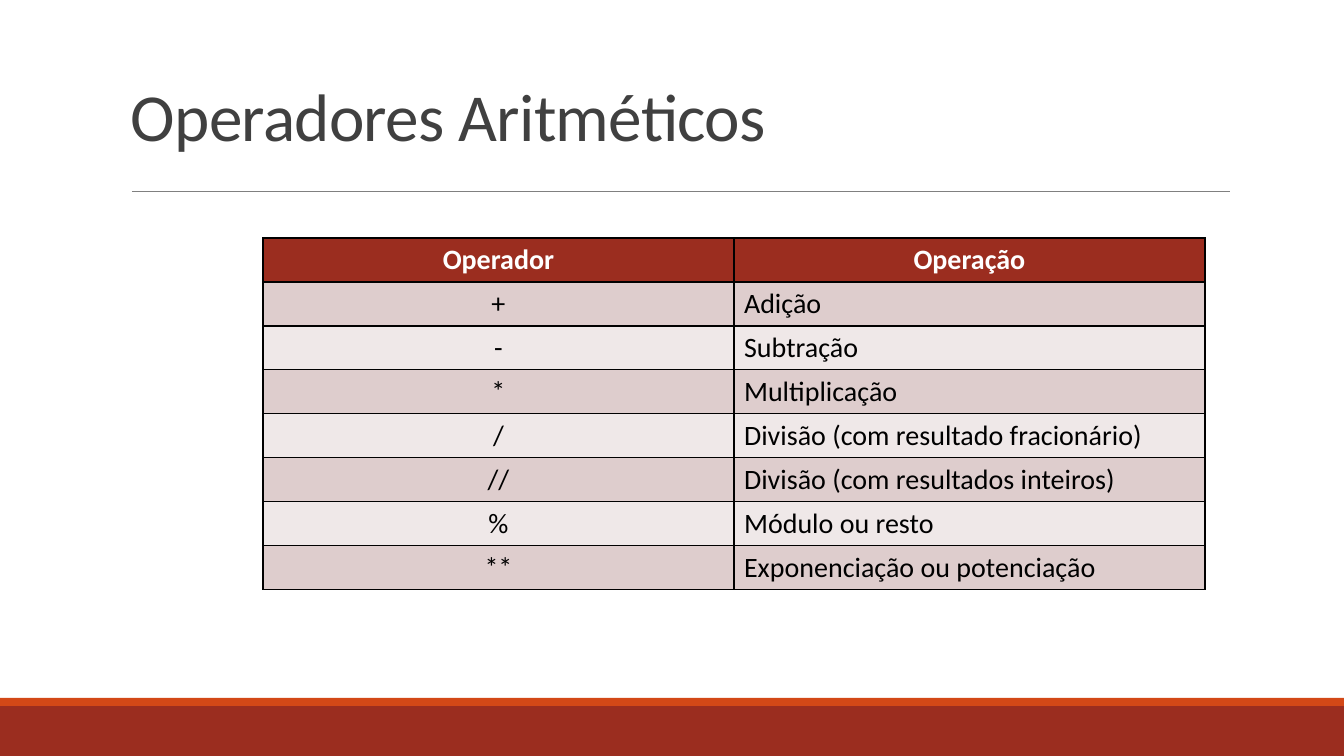
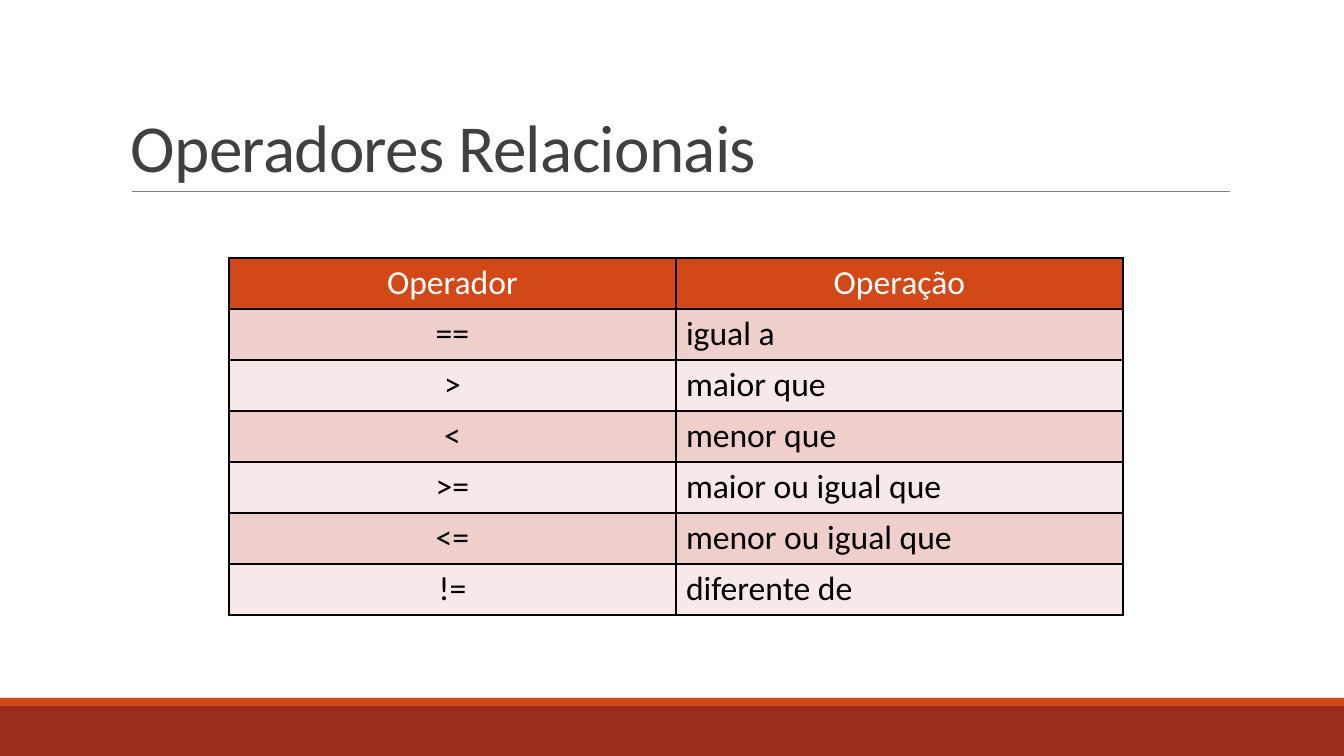
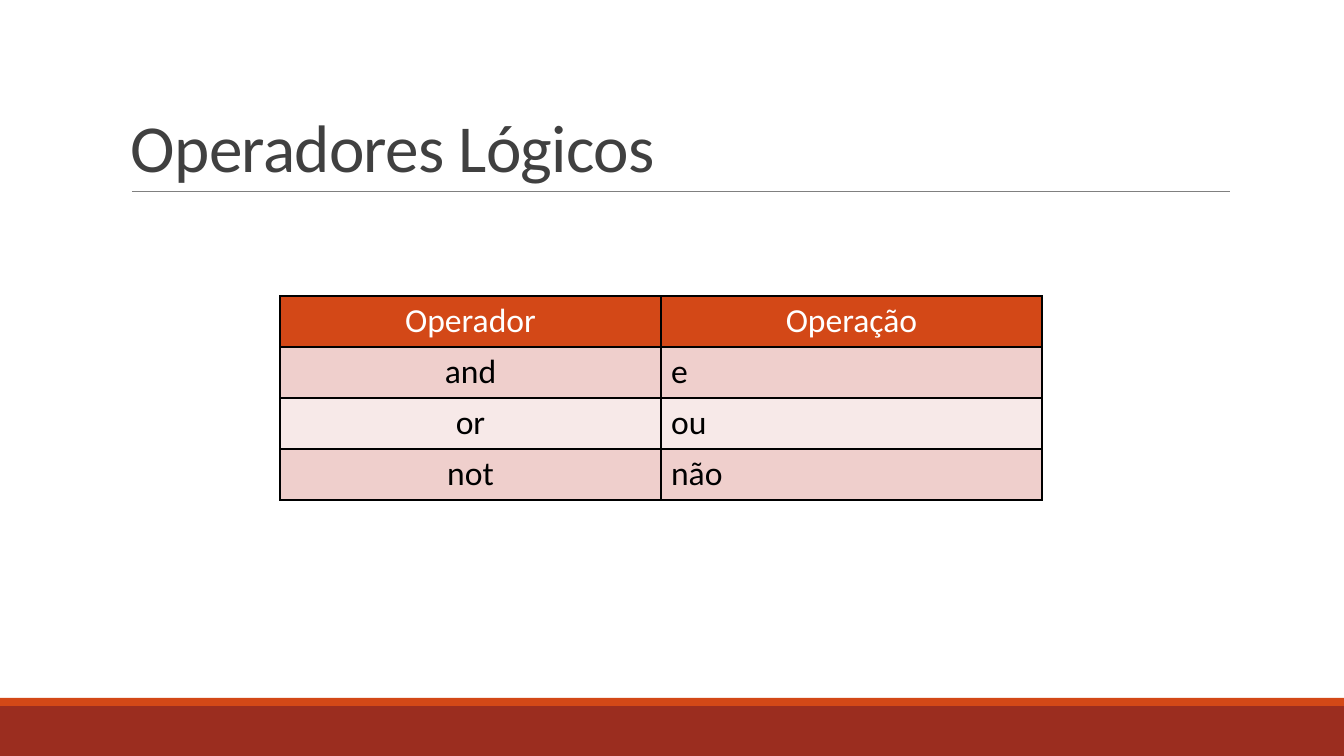
from dataclasses import dataclass

from lxml.etree import SubElement
from pptx import Presentation
from pptx.dml.color import RGBColor
from pptx.enum.shapes import MSO_CONNECTOR, MSO_SHAPE
from pptx.enum.text import MSO_ANCHOR, PP_ALIGN
from pptx.oxml.ns import qn
from pptx.slide import Slide
from pptx.table import _Cell
from pptx.text.text import _Paragraph
from pptx.util import Emu, Pt

SCALE = 914400 / 100.8
WIDE, HIGH = 1344, 756


@dataclass(frozen=True)
class Theme:
    font: str = "Calibri"
    brick: str = "9B2D1F"
    flame: str = "D34817"
    rule: str = "808080"
    title: str = "404040"
    light: str = "FFFFFF"
    dark: str = "000000"
    head_size: int = 48
    track: int = -50
    lead: float = 0.85
    rule_width: float = 0.5
    edge_width: float = 1


@dataclass(frozen=True)
class Look:
    """Colours and type of one kind of table."""
    head: str
    odd: str
    even: str
    size: int
    bold: bool
    row: int


@dataclass(frozen=True)
class Band:
    top: int
    height: int
    fill: str


@dataclass(frozen=True)
class Page:
    title: str
    top: int
    left: int
    upper: int
    column: int
    look: Look
    rows: tuple[tuple[str, str], ...]


THEME = Theme()
BANDS = (Band(706, 50, THEME.brick), Band(698, 8, THEME.flame))
MUTED = Look(THEME.brick, "DECDCD", "EFE8E8", 20, True, 44)
VIVID = Look(THEME.flame, "EFCFCC", "F7E9E8", 24, False, 51)
HEADER = ("Operador", "Operação")

PAGES = (
    Page("Operadores Aritméticos", 0, 263, 238, 471, MUTED, (
        ("+", "Adição"),
        ("-", "Subtração"),
        ("*", "Multiplicação"),
        ("/", "Divisão (com resultado fracionário)"),
        ("//", "Divisão (com resultados inteiros)"),
        ("%", "Módulo ou resto"),
        ("**", "Exponenciação ou potenciação"),
    )),
    Page("Operadores Relacionais", 31, 229, 258, 447, VIVID, (
        ("==", "igual a"),
        (">", "maior que"),
        ("<", "menor que"),
        (">=", "maior ou igual que"),
        ("<=", "menor ou igual que"),
        ("!=", "diferente de"),
    )),
    Page("Operadores Lógicos", 31, 280, 296, 381, VIVID, (
        ("and", "e"),
        ("or", "ou"),
        ("not", "não"),
    )),
)


def px(count: int) -> Emu:
    return Emu(round(count * SCALE))


def rgb(code: str) -> RGBColor:
    return RGBColor.from_string(code)


def write(para: _Paragraph, text: str, size: int, color: str,
          bold: bool = False, track: int = 0) -> None:
    run = para.add_run()
    run.text = text
    run.font.name = THEME.font
    run.font.size = Pt(size)
    run.font.bold = bold
    run.font.color.rgb = rgb(color)
    if track:
        run._r.get_or_add_rPr().set("spc", str(track))


# Shared frame: bands and rule
def draw_frame(slide: Slide) -> None:
    for band in BANDS:
        bar = slide.shapes.add_shape(MSO_SHAPE.RECTANGLE, 0, px(band.top),
                                     px(WIDE), px(band.height))
        bar.shadow.inherit = False
        bar.fill.solid()
        bar.fill.fore_color.rgb = rgb(band.fill)
        bar.line.fill.background()
    rule = slide.shapes.add_connector(MSO_CONNECTOR.STRAIGHT, px(132), px(191),
                                      px(1230), px(191))
    rule.line.color.rgb = rgb(THEME.rule)
    rule.line.width = Pt(THEME.rule_width)
    SubElement(rule._element.spPr, qn("a:effectLst"))


# Title
def draw_title(slide: Slide, text: str, top: int) -> None:
    frame = slide.shapes.add_textbox(px(121), px(top), px(1109),
                                     px(160)).text_frame
    frame.word_wrap = True
    frame.vertical_anchor = MSO_ANCHOR.BOTTOM
    para = frame.paragraphs[0]
    para.line_spacing = THEME.lead
    write(para, text, THEME.head_size, THEME.title, track=THEME.track)


# Table
def edge_cell(cell: _Cell) -> None:
    props = cell._tc.get_or_add_tcPr()
    for side in ("lnL", "lnR", "lnT", "lnB"):
        line = SubElement(props, qn(f"a:{side}"), w=str(Pt(THEME.edge_width)))
        paint = SubElement(line, qn("a:solidFill"))
        SubElement(paint, qn("a:srgbClr"), val=THEME.dark)


def draw_table(slide: Slide, page: Page) -> None:
    look = page.look
    rows = (HEADER, *page.rows)
    count = len(HEADER)
    table = slide.shapes.add_table(
        len(rows), count, px(page.left), px(page.upper),
        px(page.column * count), px(look.row * len(rows))).table
    for column in table.columns:
        column.width = px(page.column)
    for i, row in enumerate(rows):
        table.rows[i].height = px(look.row)
        head = i == 0
        fill = look.head if head else look.odd if i % 2 else look.even
        for j, text in enumerate(row):
            cell = table.cell(i, j)
            edge_cell(cell)
            cell.fill.solid()
            cell.fill.fore_color.rgb = rgb(fill)
            para = cell.text_frame.paragraphs[0]
            para.alignment = PP_ALIGN.CENTER if head or j == 0 else PP_ALIGN.LEFT
            write(para, text, look.size, THEME.light if head else THEME.dark,
                  bold=head and look.bold)


# Deck
def main() -> None:
    deck = Presentation()
    deck.slide_width, deck.slide_height = px(WIDE), px(HIGH)
    for page in PAGES:
        slide = deck.slides.add_slide(deck.slide_layouts[6])
        draw_frame(slide)
        draw_title(slide, page.title, page.top)
        draw_table(slide, page)
    deck.save("out.pptx")


main()
